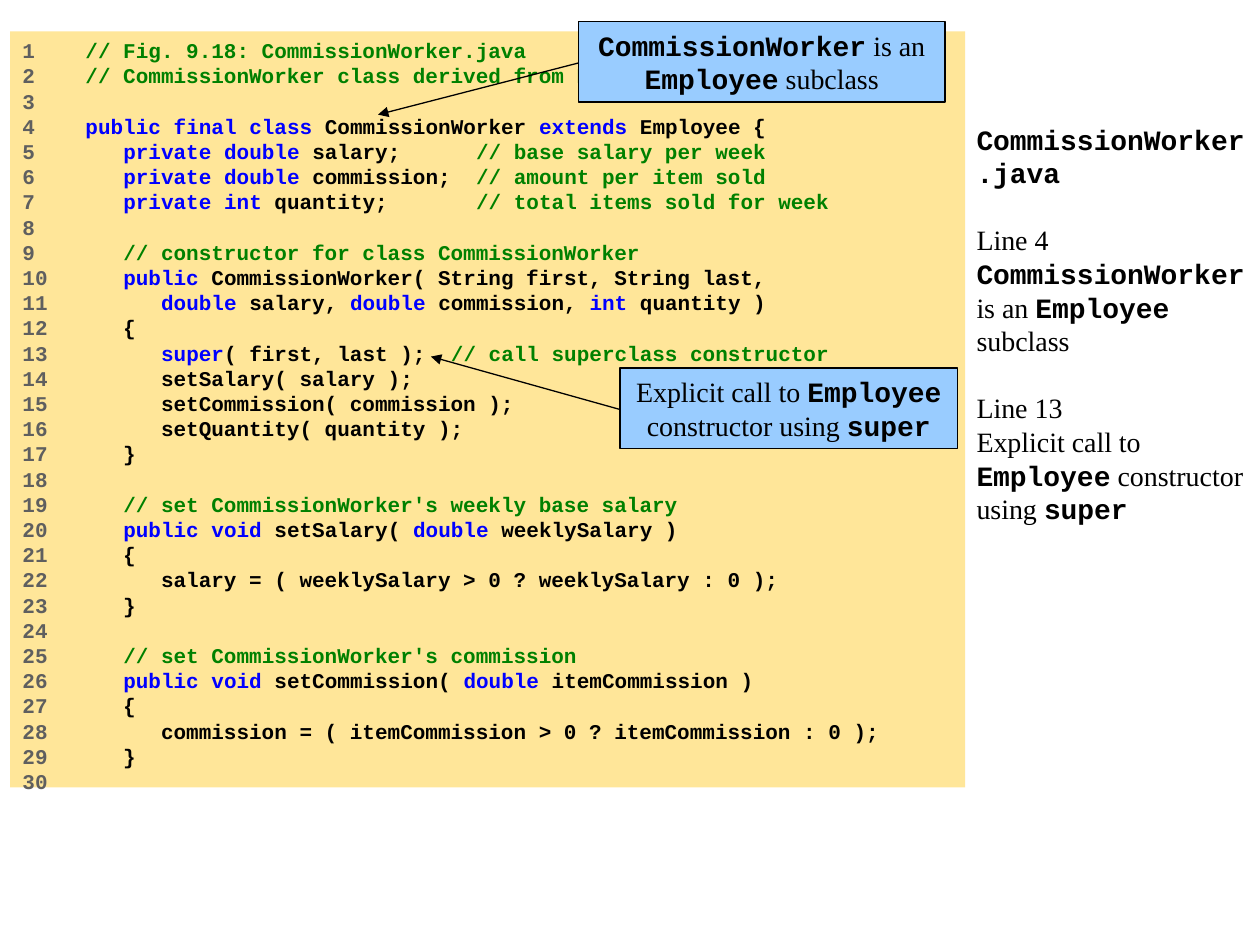
from itertools import groupby

from pptx import Presentation
from pptx.dml.color import RGBColor
from pptx.enum.shapes import MSO_CONNECTOR, MSO_SHAPE
from pptx.enum.text import MSO_ANCHOR, MSO_AUTO_SIZE, PP_ALIGN
from pptx.oxml.ns import qn
from pptx.util import Inches, Pt
from lxml.etree import SubElement

COLORS = {
    "text": "000000",
    "number": "5F5F5F",
    "comment": "008000",
    "keyword": "0000FF",
    "panel": "FFE699",
    "callout": "99CCFF",
}
CODE_FONT = "Courier New"
BODY_FONT = "Times New Roman"
KEYWORDS = {"public", "private", "final", "class", "extends",
            "double", "int", "void", "super"}
CODE_LINES = [
    "// Fig. 9.18: CommissionWorker.java",
    "// CommissionWorker class derived from Employee",
    "",
    "public final class CommissionWorker extends Employee {",
    "   private double salary;      // base salary per week",
    "   private double commission;  // amount per item sold",
    "   private int quantity;       // total items sold for week",
    "",
    "   // constructor for class CommissionWorker",
    "   public CommissionWorker( String first, String last,",
    "      double salary, double commission, int quantity )",
    "   {",
    "      super( first, last );  // call superclass constructor",
    "      setSalary( salary );",
    "      setCommission( commission );",
    "      setQuantity( quantity );",
    "   }",
    "",
    "   // set CommissionWorker's weekly base salary",
    "   public void setSalary( double weeklySalary )",
    "   {",
    "      salary = ( weeklySalary > 0 ? weeklySalary : 0 );",
    "   }",
    "",
    "   // set CommissionWorker's commission",
    "   public void setCommission( double itemCommission )",
    "   {",
    "      commission = ( itemCommission > 0 ? itemCommission : 0 );",
    "   }",
    "",
]
NOTES = [
    ("`CommissionWorker.java`", 0),
    ("Line 4", 1),
    ("`CommissionWorker` is an `Employee` subclass", 0),
    ("Line 13", 1),
    ("Explicit call to `Employee` constructor using `super`", 0),
]
LINE_FACTOR = 1.2


def rgb(name):
    return RGBColor.from_string(COLORS[name])


def add_text(paragraph, text, size=16, font=BODY_FONT, color="text", bold=False):
    run = paragraph.add_run()
    run.text = text
    run.font.size = Pt(size)
    run.font.name = font
    run.font.bold = bold
    run.font.color.rgb = rgb(color)


def add_mixed_text(paragraph, text):
    for index, part in enumerate(text.split("`")):
        if part:
            is_code = index % 2 == 1
            add_text(paragraph, part, font=CODE_FONT if is_code else BODY_FONT,
                     bold=is_code)


def prepare_frame(shape, anchor, left_margin=0.1):
    frame = shape.text_frame
    frame.word_wrap = True
    frame.auto_size = MSO_AUTO_SIZE.NONE
    frame.vertical_anchor = anchor
    frame.margin_left, frame.margin_right = Inches(left_margin), Inches(0.1)
    frame.margin_top = frame.margin_bottom = Inches(0.05)
    return frame


def next_paragraph(frame, index, size=16, alignment=PP_ALIGN.LEFT, blank_lines=0):
    paragraph = frame.add_paragraph() if index else frame.paragraphs[0]
    paragraph.alignment = alignment
    paragraph.line_spacing = Pt(size * LINE_FACTOR)
    paragraph.space_before = Pt(size * LINE_FACTOR * blank_lines)
    paragraph.space_after = Pt(0)
    return paragraph


def add_box(shapes, box, fill):
    shape = shapes.add_shape(MSO_SHAPE.RECTANGLE, *map(Inches, box))
    shape.shadow.inherit = False
    shape.fill.solid()
    shape.fill.fore_color.rgb = rgb(fill)
    shape.line.fill.background()
    return shape


def color_code(line):
    code, slashes, comment = line.partition("//")
    words = ["".join(letters) for _, letters in groupby(code, str.isalpha)]
    kinds = groupby(words, lambda word: "keyword" if word in KEYWORDS else "text")
    pieces = [("".join(group), kind) for kind, group in kinds]
    return pieces + [(slashes + comment, "comment")]


def add_code_panel(slide, box):
    frame = prepare_frame(add_box(slide.shapes, box, "panel"), MSO_ANCHOR.TOP)
    for index, line in enumerate(CODE_LINES):
        paragraph = next_paragraph(frame, index, size=12)
        number = str(index + 1)
        label = number.ljust(5) if line else number
        for text, color in [(label, "number")] + color_code(line):
            if text:
                add_text(paragraph, text, size=12, font=CODE_FONT,
                         color=color, bold=True)


def add_notes(slide, box):
    title = slide.shapes.title
    title.left, title.top, title.width, title.height = map(Inches, box)
    frame = prepare_frame(title, MSO_ANCHOR.TOP, left_margin=0)
    for index, (text, blank_lines) in enumerate(NOTES):
        paragraph = next_paragraph(frame, index, blank_lines=blank_lines)
        add_mixed_text(paragraph, text)


def add_callout(slide, box, text, target):
    left, top, width, height = box
    shapes = slide.shapes.add_group_shape().shapes
    shape = add_box(shapes, box, "callout")
    shape.line.color.rgb = rgb("text")
    shape.line.width = Pt(0.75)
    frame = prepare_frame(shape, MSO_ANCHOR.MIDDLE)
    add_mixed_text(next_paragraph(frame, 0, alignment=PP_ALIGN.CENTER), text)

    start = (left, top + height / 2 + 0.01)
    arrow = shapes.add_connector(MSO_CONNECTOR.STRAIGHT,
                                 *map(Inches, start + target))
    arrow.line.color.rgb = rgb("text")
    arrow.line.width = Pt(0.75)
    properties = arrow.element.spPr
    SubElement(properties.find(qn("a:ln")), qn("a:tailEnd"), type="triangle")
    SubElement(properties, qn("a:effectLst"))


def main():
    presentation = Presentation()
    presentation.slide_width, presentation.slide_height = Inches(10), Inches(7.5)
    slide = presentation.slides.add_slide(presentation.slide_layouts[5])
    add_notes(slide, (7.75, 0.92, 2.25, 6))
    add_code_panel(slide, (0.08, 0.25, 7.58, 6))
    add_callout(slide, (4.59, 0.17, 2.91, 0.64),
                "`CommissionWorker` is an `Employee` subclass", (3, 0.91))
    add_callout(slide, (4.92, 2.92, 2.68, 0.64),
                "Explicit call to `Employee` constructor using `super`", (3.42, 2.83))
    presentation.save("out.pptx")


if __name__ == "__main__":
    main()
